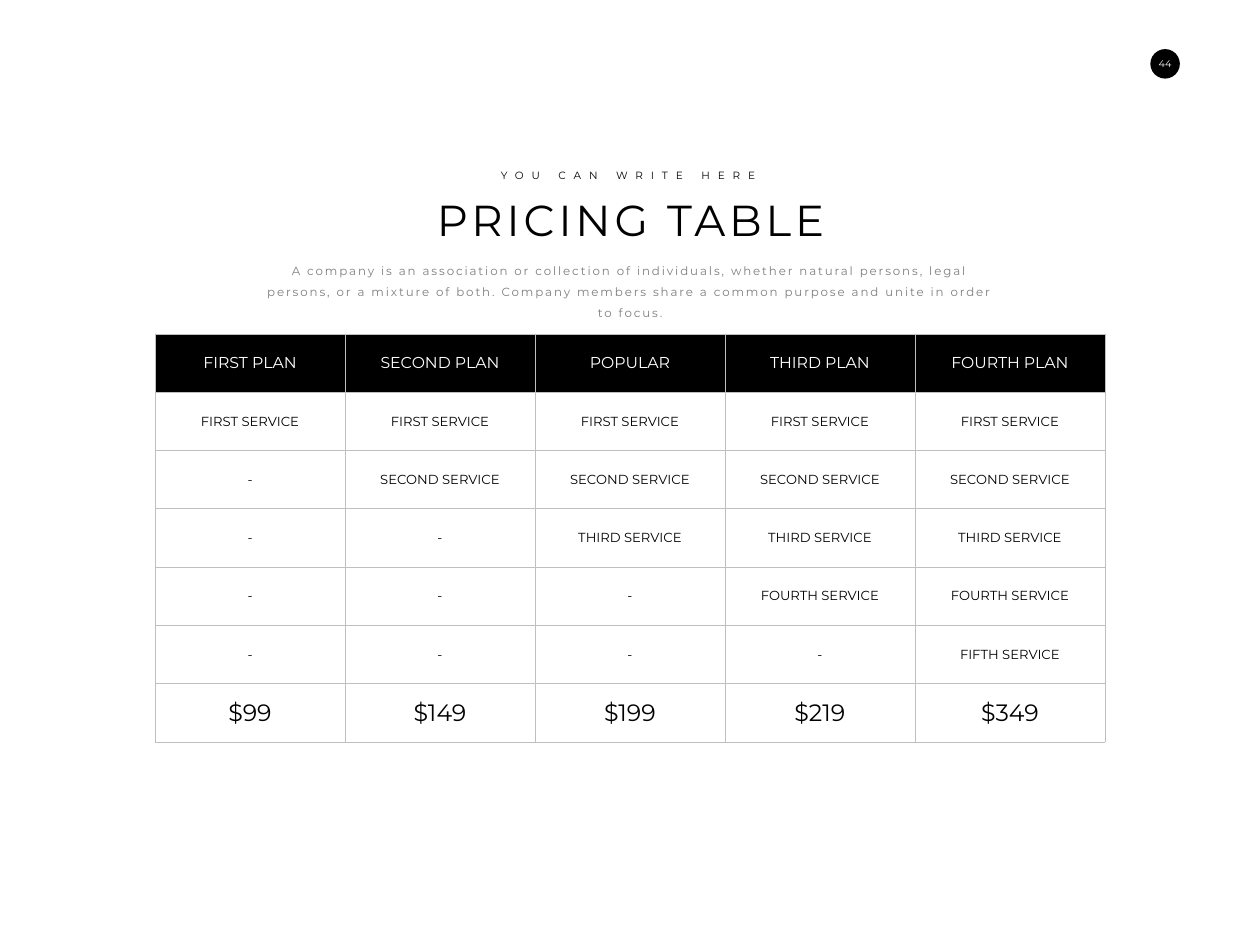
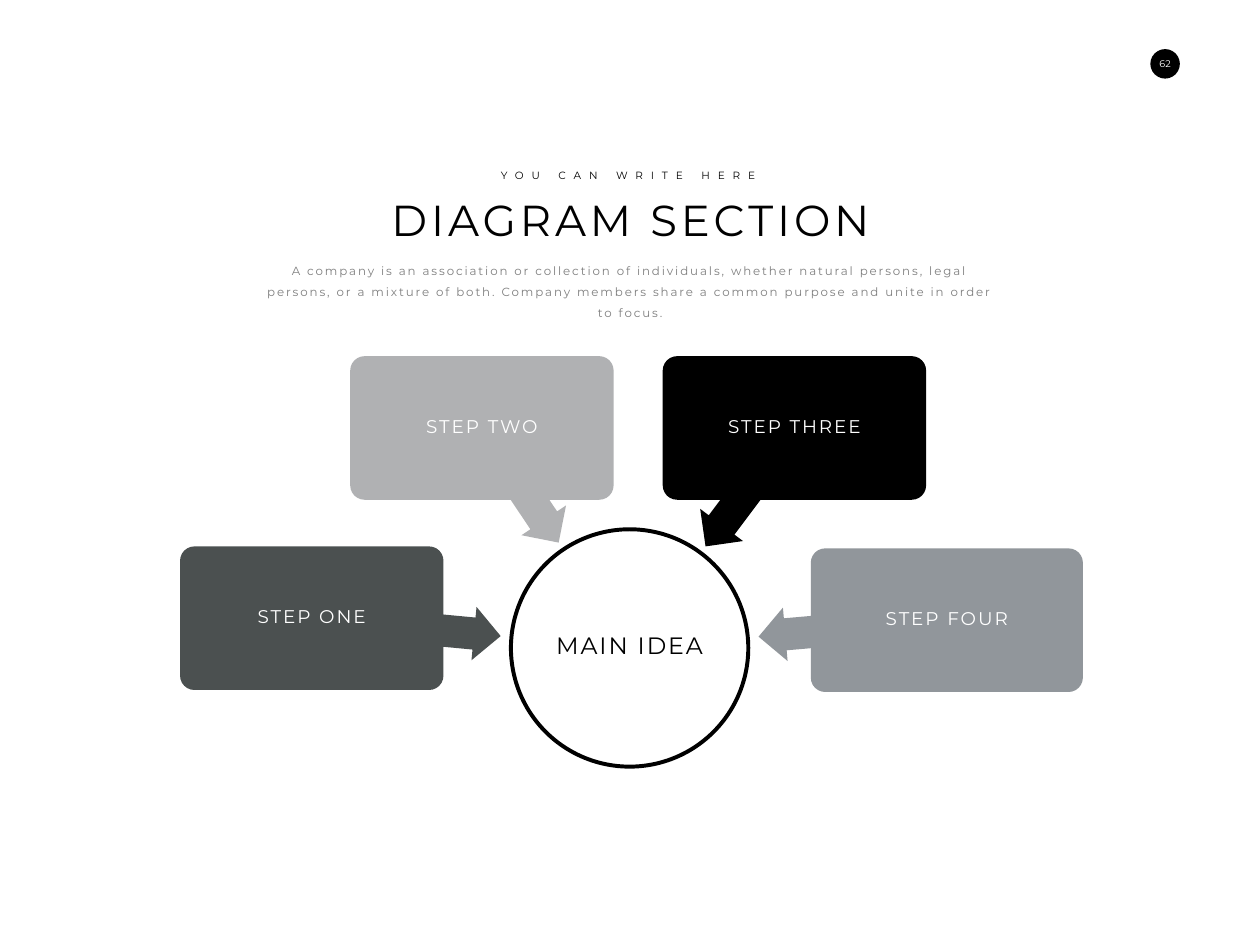
from math import cos, radians, sin

from lxml import etree
from pptx import Presentation
from pptx.dml.color import RGBColor
from pptx.enum.shapes import MSO_SHAPE as SHAPE
from pptx.enum.text import MSO_ANCHOR as ANCHOR, MSO_AUTO_SIZE as AUTO, PP_ALIGN as ALIGN
from pptx.oxml.ns import qn
from pptx.util import Cm, Pt

BLACK = RGBColor(0x00, 0x00, 0x00)
WHITE = RGBColor(0xFF, 0xFF, 0xFF)
GREY_TEXT = RGBColor(0x7F, 0x7F, 0x7F)
GRID = RGBColor(0xBF, 0xBF, 0xBF)
SLATE = RGBColor(0x4B, 0x50, 0x50)
SILVER = RGBColor(0xB0, 0xB1, 0xB3)
STEEL = RGBColor(0x91, 0x96, 0x9B)

FONT = "Montserrat"
EYEBROW = "YOU CAN WRITE HERE"
INTRO = ("A company is an association or collection of individuals, whether natural "
         "persons, legal persons, or a mixture of both. Company members share a common "
         "purpose and unite in order to focus.")


class Deck:
    """Shared style and the slide being built."""

    def __init__(self):
        self.prs = Presentation()
        self.prs.slide_width, self.prs.slide_height = Cm(50.8), Cm(38.1)
        self.s = None

    def set_text(self, tf, text, size, color, spacing=0, line=None):
        """Put one centred paragraph into a text frame."""
        tf.text = text
        p = tf.paragraphs[0]
        p.alignment = ALIGN.CENTER
        if line:
            p.line_spacing = line
        r = p.runs[0]
        r.font.name, r.font.size, r.font.bold = FONT, Pt(size), False
        r.font.color.rgb = color
        if spacing:
            r._r.get_or_add_rPr().set("spc", str(round(spacing * 100)))

    def slide(self, title, number):
        """Start a slide with its heading block and page badge."""
        self.s = self.prs.slides.add_slide(self.prs.slide_layouts[5])
        sp = self.s.shapes.title
        sp.left, sp.top, sp.width, sp.height = Cm(15.43), Cm(7.65), Cm(20), Cm(2.36)
        tf = sp.text_frame
        tf.auto_size, tf.word_wrap = AUTO.NONE, False
        tf.vertical_anchor = ANCHOR.TOP
        self.set_text(tf, title, 49.5, BLACK, 4.5)
        self.text(19.76, 6.7, 11.13, 0.76, EYEBROW, 12, BLACK, 9, wrap=False)
        self.text(10.13, 10.21, 30.56, 1.98, INTRO, 13.5, GREY_TEXT, 2.2, line=1.5)
        badge = self.shape(SHAPE.OVAL, 46.38, 1.98, 1.19, 1.19, BLACK)
        self.label(badge, str(number), 11, WHITE)

    def text(self, x, y, w, h, text, size, color, spacing, line=None, wrap=True):
        sp = self.s.shapes.add_textbox(Cm(x), Cm(y), Cm(w), Cm(h))
        tf = sp.text_frame
        tf.word_wrap, tf.auto_size = wrap, AUTO.SHAPE_TO_FIT_TEXT
        self.set_text(tf, text, size, color, spacing, line)

    def shape(self, kind, x, y, w, h, fill=None):
        sp = self.s.shapes.add_shape(kind, Cm(x), Cm(y), Cm(w), Cm(h))
        sp.shadow.inherit = False
        sp.line.fill.background()
        if fill is None:
            sp.fill.background()
        else:
            sp.fill.solid()
            sp.fill.fore_color.rgb = fill
        return sp

    def label(self, sp, text, size, color, spacing=0, line=None):
        """Centre a caption inside a shape."""
        tf = sp.text_frame
        tf.margin_left = tf.margin_right = tf.margin_top = tf.margin_bottom = 0
        tf.vertical_anchor, tf.word_wrap = ANCHOR.MIDDLE, True
        self.set_text(tf, text, size, color, spacing, line)

    def step(self, x, y, w, text, fill, length, angle):
        """A rounded box with an arrow leaving its centre."""
        h, thick = 5.79, 2.16
        turn = radians(angle)
        arrow_x = x + w / 2 - cos(turn) * length / 2
        arrow_y = y + h / 2 - sin(turn) * length / 2
        arrow = self.shape(SHAPE.LEFT_ARROW, arrow_x - length / 2, arrow_y - thick / 2,
                           length, thick, fill)
        arrow.adjustments[0], arrow.adjustments[1] = 0.6, 0.5
        arrow.rotation = angle
        box = self.shape(SHAPE.ROUNDED_RECTANGLE, x, y, w, h, fill)
        box.adjustments[0] = 0.1
        self.label(box, text, 21, WHITE, 2.2, 0.8)

    def cell(self, cell, text, size, color, fill=None):
        cell.margin_left = cell.margin_right = Cm(0.18)
        cell.margin_top = cell.margin_bottom = Cm(0.1)
        cell.vertical_anchor = ANCHOR.MIDDLE
        self.set_text(cell.text_frame, text, size, color)
        tcPr = cell._tc.get_or_add_tcPr()
        for side in ("a:lnL", "a:lnR", "a:lnT", "a:lnB"):
            ln = etree.SubElement(tcPr, qn(side), w=str(Pt(0.75)))
            solid = etree.SubElement(ln, qn("a:solidFill"))
            etree.SubElement(solid, qn("a:srgbClr"), val=str(GRID))
        if fill is None:
            cell.fill.background()
        else:
            cell.fill.solid()
            cell.fill.fore_color.rgb = fill

    def table(self, x, y, col_w, row_h, rows):
        """Dark header row, plain body, large figures in the last row."""
        n_rows, n_cols = len(rows), len(rows[0])
        table = self.s.shapes.add_table(n_rows, n_cols, Cm(x), Cm(y),
                                        Cm(col_w * n_cols), Cm(row_h * n_rows)).table
        table.first_row = table.horz_banding = False
        styles = [(18, WHITE, BLACK)] + [(15, BLACK)] * (n_rows - 2) + [(27, BLACK)]
        for i, (row, style) in enumerate(zip(rows, styles)):
            for j, text in enumerate(row):
                self.cell(table.cell(i, j), text, *style)


def pricing(deck):
    deck.slide("PRICING TABLE", 44)
    plans = ["FIRST PLAN", "SECOND PLAN", "POPULAR", "THIRD PLAN", "FOURTH PLAN"]
    prices = ["$99", "$149", "$199", "$219", "$349"]
    # Each plan adds one more service than the plan before it
    services = [[f"{name} SERVICE" if plan >= rank else "-" for plan in range(len(plans))]
                for rank, name in enumerate(["FIRST", "SECOND", "THIRD", "FOURTH", "FIFTH"])]
    deck.table(6.25, 13.46, 7.66, 2.35, [plans, *services, prices])


def diagram(deck):
    deck.slide("DIAGRAM SECTION", 62)
    # Central circle
    hub = deck.shape(SHAPE.OVAL, 20.6, 21.34, 9.57, 9.57)
    hub.line.color.rgb, hub.line.width = BLACK, Pt(4.5)
    deck.label(hub, "MAIN IDEA", 27, BLACK, 2.2, 0.8)
    # Steps pointing at the circle: left, top, width, text, fill, arrow length, angle
    for step in [
        (7.26, 22.03, 10.62, "STEP ONE", SLATE, 7.65, 185.4),
        (14.12, 14.36, 10.62, "STEP TWO", SILVER, 5.56, 236.2),
        (26.72, 14.36, 10.62, "STEP THREE", BLACK, 5.97, 306.9),
        (32.69, 22.11, 10.97, "STEP FOUR", STEEL, 7.62, 355),
    ]:
        deck.step(*step)


def main():
    deck = Deck()
    pricing(deck)
    diagram(deck)
    deck.prs.save("out.pptx")


if __name__ == "__main__":
    main()
